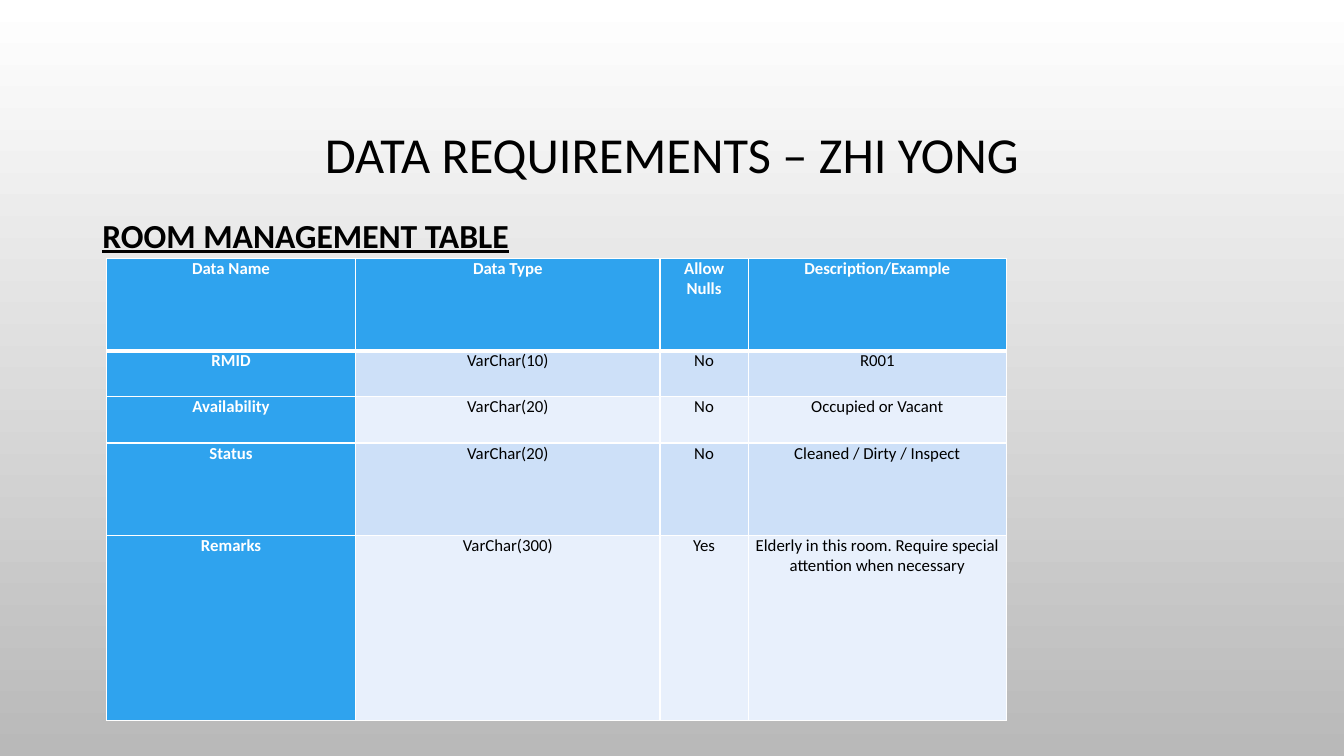
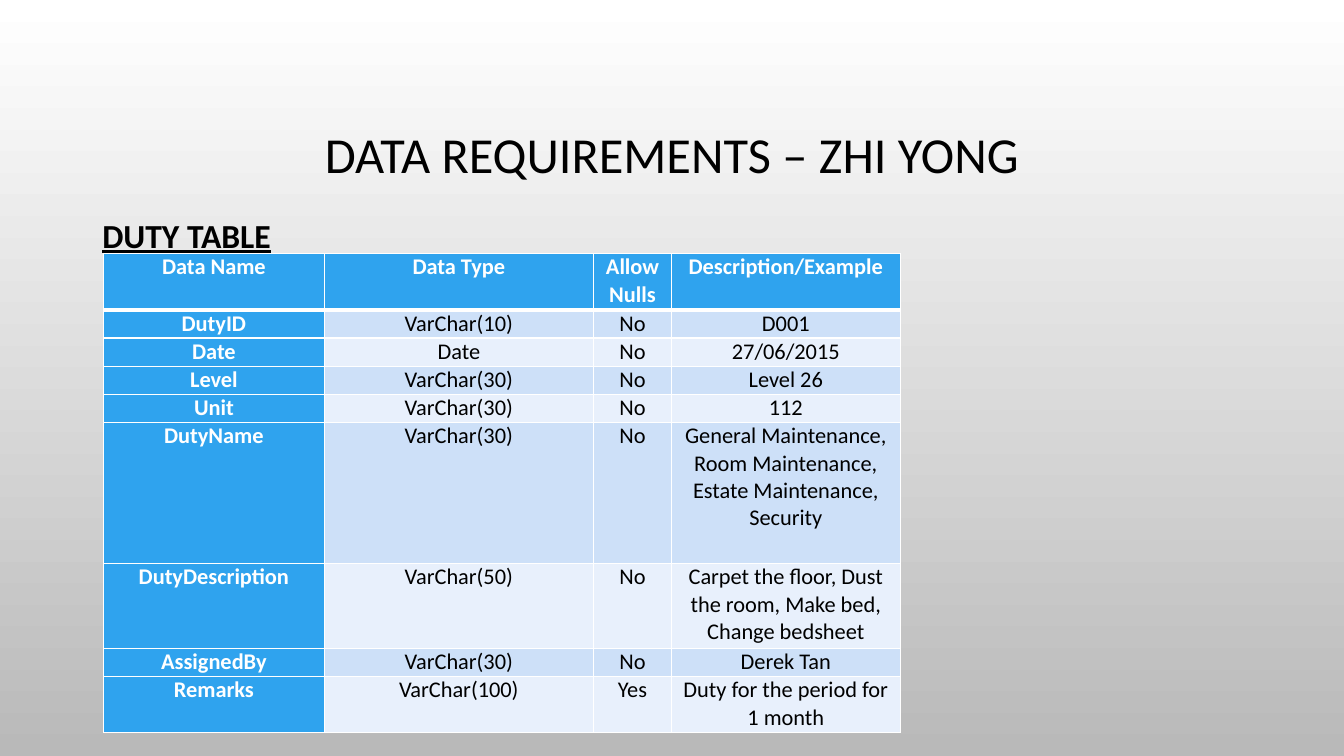
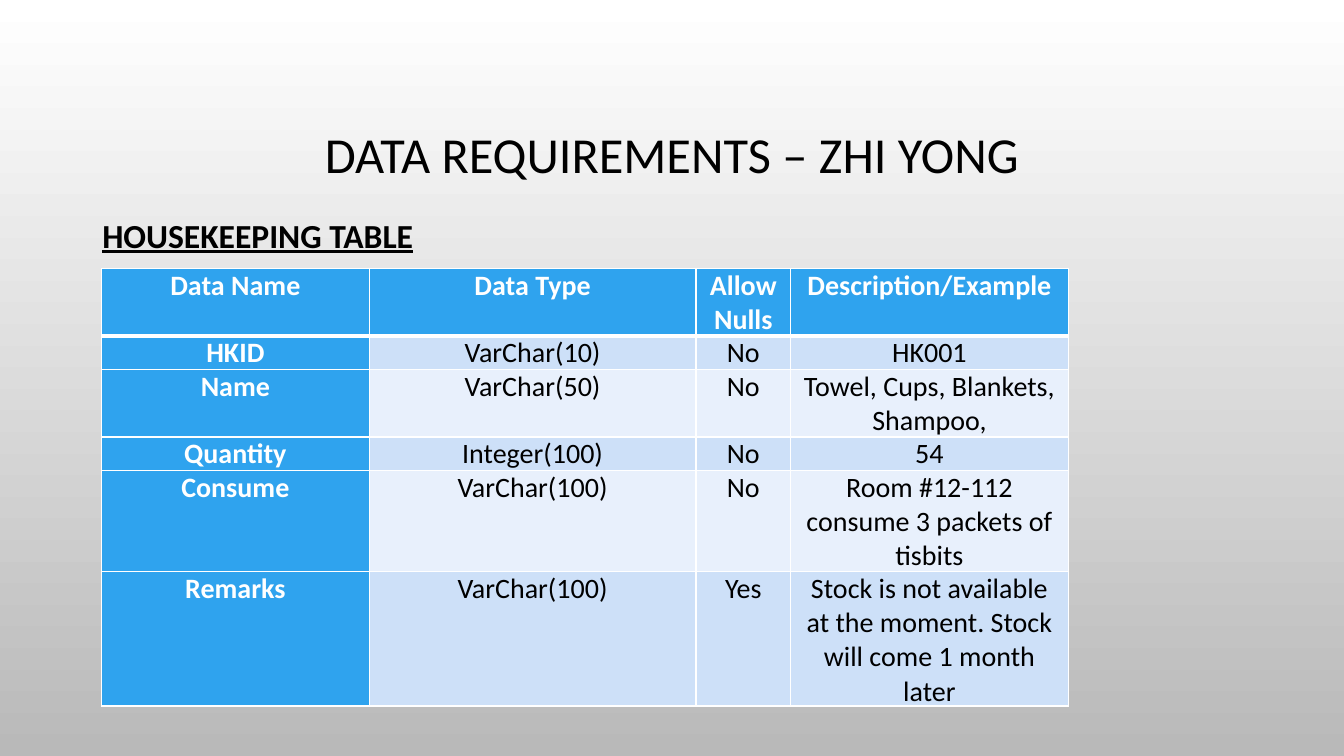
from lxml.etree import SubElement as Sub
from pptx import Presentation
from pptx.dml.color import RGBColor as Rgb
from pptx.enum.text import MSO_ANCHOR as Anchor, PP_ALIGN as Align
from pptx.oxml.ns import qn
from pptx.util import Pt

HUES = {
    "ink": "000000",
    "white": "FFFFFF",
    "grey": "B9B9B9",
    "blue": "2FA3EE",
    "mid": "CDE0F8",
    "pale": "E8F0FC",
}
FONT = "Calibri"
TITLE = "DATA REQUIREMENTS – ZHI YONG"
HEAD = ("Data Name", "Data Type", "Allow Nulls", "Description/Example")
SHARES = (0.277, 0.338, 0.098, 0.287)

# Each row: height in row units, then the four cells.
ROOM = [
    (2, *HEAD),
    (1, "RMID", "VarChar(10)", "No", "R001"),
    (1, "Availability", "VarChar(20)", "No", "Occupied or Vacant"),
    (2, "Status", "VarChar(20)", "No", "Cleaned / Dirty / Inspect"),
    (4, "Remarks", "VarChar(300)", "Yes",
     "Elderly in this room. Require special attention when necessary"),
]
DUTY = [
    (2, *HEAD),
    (1, "DutyID", "VarChar(10)", "No", "D001"),
    (1, "Date", "Date", "No", "27/06/2015"),
    (1, "Level", "VarChar(30)", "No", "Level 26"),
    (1, "Unit", "VarChar(30)", "No", "112"),
    (5, "DutyName", "VarChar(30)", "No",
     "General Maintenance, Room Maintenance, Estate Maintenance, Security"),
    (3, "DutyDescription", "VarChar(50)", "No",
     "Carpet the floor, Dust the room, Make bed, Change bedsheet"),
    (1, "AssignedBy", "VarChar(30)", "No", "Derek Tan"),
    (2, "Remarks", "VarChar(100)", "Yes", "Duty for the period for 1 month"),
]
HOUSE = [
    (2, *HEAD),
    (1, "HKID", "VarChar(10)", "No", "HK001"),
    (2, "Name", "VarChar(50)", "No", "Towel, Cups, Blankets, Shampoo,"),
    (1, "Quantity", "Integer(100)", "No", "54"),
    (3, "Consume", "VarChar(100)", "No",
     "Room #12-112 consume 3 packets of tisbits"),
    (4, "Remarks", "VarChar(100)", "Yes",
     "Stock is not available at the moment. Stock will come 1 month later"),
]


def tint(name):
    return Rgb.from_string(HUES[name])


class Deck:
    def __init__(self):
        self.prs = Presentation()
        self.prs.slide_width, self.prs.slide_height = Pt(960), Pt(540)
        self.slide = None
        fill = self.prs.slide_master.background.fill
        fill.gradient()
        fill.gradient_angle = 270
        for stop, name, pos in zip(fill.gradient_stops, ("white", "grey"), (0, 1)):
            stop.color.rgb, stop.position = tint(name), pos

    def page(self, label):
        """Start a slide with the shared title and its own table heading."""
        self.slide = self.prs.slides.add_slide(self.prs.slide_layouts[6])
        self.text((72, 49, 816, 126), TITLE, 36, Align.CENTER, Anchor.MIDDLE, 0.9)
        run = self.text((66, 144, 828, 343), label, 24, Align.LEFT, Anchor.TOP, 1.2)
        run.font.bold = run.font.underline = True

    def style(self, para, size, hue="ink", bold=False):
        run = para.runs[0]
        run.font.name, run.font.size, run.font.bold = FONT, Pt(size), bold
        run.font.color.rgb = tint(hue)
        return run

    def text(self, box, words, size, align, anchor, gap):
        frame = self.slide.shapes.add_textbox(*map(Pt, box)).text_frame
        frame.word_wrap, frame.vertical_anchor = True, anchor
        frame.text = words
        para = frame.paragraphs[0]
        para.alignment, para.line_spacing = align, gap
        return self.style(para, size)

    def edges(self, cell, row):
        """Draw white cell borders, heavier below the header row."""
        widths = {"L": 1, "R": 1, "T": 3 if row == 1 else 1, "B": 1 if row else 3}
        props = cell._tc.get_or_add_tcPr()
        for side, width in widths.items():
            line = Sub(props, qn("a:ln" + side), w=str(Pt(width)))
            Sub(Sub(line, qn("a:solidFill")), qn("a:srgbClr"), val=HUES["white"])

    def cell(self, cell, words, row, col, size, pad):
        head = row == 0 or col == 0
        cell.margin_left = cell.margin_right = Pt(pad)
        cell.margin_top = cell.margin_bottom = 0
        self.edges(cell, row)
        cell.fill.solid()
        cell.fill.fore_color.rgb = tint("blue" if head else "mid" if row % 2 else "pale")
        cell.text = words
        para = cell.text_frame.paragraphs[0]
        para.alignment = Align.CENTER
        self.style(para, size, "white" if head else "ink", head)

    def table(self, rows, left, top, width, unit, size, pad):
        high = unit * sum(row[0] for row in rows)
        grid = self.slide.shapes.add_table(
            len(rows), len(HEAD), Pt(left), Pt(top), Pt(width), Pt(high)).table
        for col, share in zip(grid.columns, SHARES):
            col.width = Pt(width * share)
        for r, (units, *words) in enumerate(rows):
            grid.rows[r].height = Pt(units * unit)
            for c, word in enumerate(words):
                self.cell(grid.cell(r, c), word, r, c, size, pad)


def main():
    deck = Deck()
    deck.page("ROOM MANAGEMENT TABLE")
    deck.table(ROOM, 76, 184.5, 643, 33, 12, 5)
    deck.page("DUTY TABLE")
    deck.table(DUTY, 74, 181, 569, 20.15, 16, 7)
    deck.page("HOUSEKEEPING TABLE")
    deck.table(HOUSE, 72.5, 192, 690.5, 24, 20, 9)
    deck.prs.save("out.pptx")


if __name__ == "__main__":
    main()
